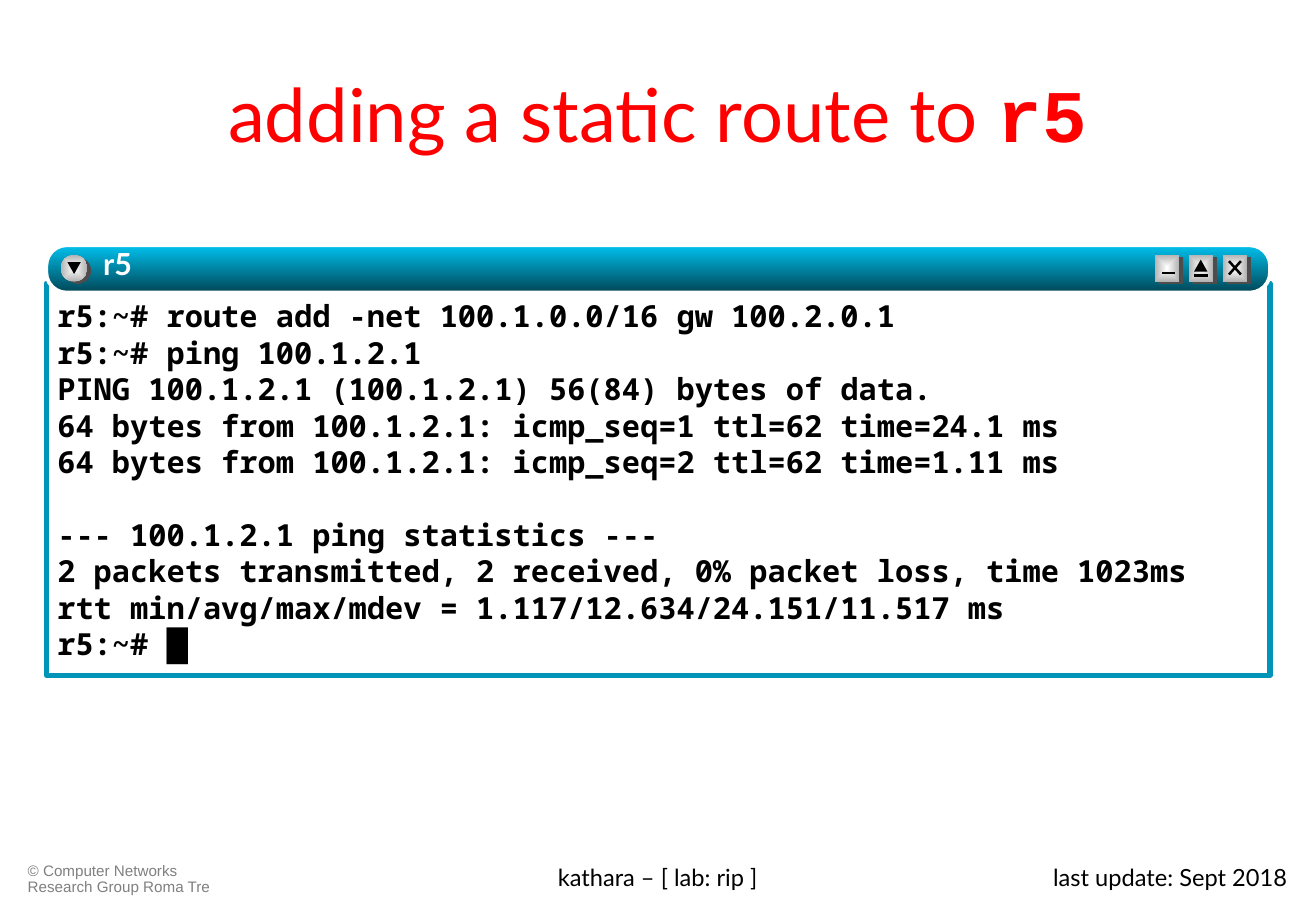
import dataclasses

import lxml.etree
import pptx
import pptx.dml.color
import pptx.enum.dml
import pptx.enum.shapes
import pptx.enum.text
import pptx.oxml
import pptx.oxml.ns
import pptx.util

Cm, Pt = pptx.util.Cm, pptx.util.Pt
RGB = pptx.dml.color.RGBColor.from_string
qn = pptx.oxml.ns.qn
MSO = pptx.enum.shapes.MSO_SHAPE
ALIGN = pptx.enum.text.PP_ALIGN
ANCHOR = pptx.enum.text.MSO_ANCHOR


@dataclasses.dataclass(frozen=True)
class Theme:
    """Colours, fonts and type sizes of the slide."""
    title: str = "FF0000"
    ink: str = "000000"
    light: str = "FFFFFF"
    muted: str = "808080"
    frame: str = "0095B8"
    bar: tuple = ("00C1EE", "004656")
    button: tuple = ("FFFFFF", "B2B2B2")
    shade: str = "4D4D4D"
    sans: str = "Lato"
    mono: str = "Noto Sans Mono"
    courier: str = "Courier New"
    arial: str = "Arial"
    title_size: int = 44
    code_size: int = 18
    footer_size: int = 14
    credit_size: int = 9


THEME = Theme()

SESSION = [
    "r5:~# route add -net 100.1.0.0/16 gw 100.2.0.1",
    "r5:~# ping 100.1.2.1",
    "PING 100.1.2.1 (100.1.2.1) 56(84) bytes of data.",
    "64 bytes from 100.1.2.1: icmp_seq=1 ttl=62 time=24.1 ms",
    "64 bytes from 100.1.2.1: icmp_seq=2 ttl=62 time=1.11 ms",
    "--- 100.1.2.1 ping statistics ---",
    "2 packets transmitted, 2 received, 0% packet loss, time 1023ms",
    "rtt min/avg/max/mdev = 1.117/12.634/24.151/11.517 ms",
    "r5:~# ",
]


def style(font, name, size, color, bold=False):
    """Set the face, size, colour and weight of a font."""
    font.name, font.size, font.bold = name, Pt(size), bold
    font.color.rgb = RGB(color)


def add_shape(slide, kind, x, y, w, h, fill=None):
    """Add a shape without shadow or line, with a solid fill or none."""
    sp = slide.shapes.add_shape(kind, Cm(x), Cm(y), Cm(w), Cm(h))
    sp.shadow.inherit = False
    sp.line.fill.background()
    if fill:
        sp.fill.solid()
        sp.fill.fore_color.rgb = RGB(fill)
    else:
        sp.fill.background()
    return sp


def add_gradient(sp, colors, from_centre=False):
    """Fill a shape with two colours, top to bottom or centre to edge."""
    sp.fill.gradient()
    sp.fill.gradient_angle = 270
    for stop, color in zip(sp.fill.gradient_stops, colors):
        stop.color.rgb = RGB(color)
    if from_centre:
        grad = sp._element.spPr.find(qn("a:gradFill"))
        grad.remove(grad.find(qn("a:lin")))
        path = lxml.etree.SubElement(grad, qn("a:path"), path="rect")
        lxml.etree.SubElement(path, qn("a:fillToRect"),
                              l="50000", t="50000", r="50000", b="50000")


def add_stroke(slide, x1, y1, x2, y2):
    """Add a thin dark line of a button sign."""
    line = slide.shapes.add_connector(
        pptx.enum.shapes.MSO_CONNECTOR.STRAIGHT, Cm(x1), Cm(y1), Cm(x2), Cm(y2))
    line.line.color.rgb = RGB(THEME.ink)
    line.line.width = Pt(1.5)
    lxml.etree.SubElement(line._element.spPr, qn("a:effectLst"))


def add_button(slide, kind, x, y, strokes=(), triangle=None, rotation=0):
    """Add a raised window button with its sign placed relative to it."""
    w, h = (0.56 if kind == MSO.OVAL else 0.51), 0.56
    add_shape(slide, kind, x + 0.08, y + 0.05, w, h, THEME.shade)
    add_gradient(add_shape(slide, kind, x, y, w, h), THEME.button, True)
    for x1, y1, x2, y2 in strokes:
        add_stroke(slide, x + x1, y + y1, x + x2, y + y2)
    if triangle:
        dx, dy = triangle
        sp = add_shape(slide, MSO.ISOSCELES_TRIANGLE, x + dx, y + dy,
                       0.28, 0.25, THEME.ink)
        sp.rotation = rotation


def add_text(slide, x, y, w, h, text):
    """Add a wrapping text box and return its frame and paragraph."""
    tf = slide.shapes.add_textbox(Cm(x), Cm(y), Cm(w), Cm(h)).text_frame
    tf.word_wrap = True
    p = tf.paragraphs[0]
    p.text = text
    return tf, p


def add_title(slide, x, y, w, h):
    """Place the slide title with the router name in bold type."""
    sp = slide.shapes.title
    sp.left, sp.top, sp.width, sp.height = Cm(x), Cm(y), Cm(w), Cm(h)
    tf = sp.text_frame
    tf.auto_size = pptx.enum.text.MSO_AUTO_SIZE.NONE
    tf.vertical_anchor = ANCHOR.MIDDLE
    p = tf.paragraphs[0]
    p.alignment = ALIGN.CENTER
    for text, face, bold in (("adding a static route to ", THEME.sans, False),
                             ("r5", THEME.courier, True)):
        r = p.add_run()
        r.text = text
        style(r.font, face, THEME.title_size, THEME.title, bold)


def add_session(slide, x, y, w, h):
    """Add the framed terminal body with its commands and output."""
    sp = add_shape(slide, MSO.RECTANGLE, x, y, w, h)
    sp.line.color.rgb = RGB(THEME.frame)
    sp.line.width = Pt(3)
    tf = sp.text_frame
    tf.word_wrap = True
    tf.vertical_anchor = ANCHOR.TOP
    tf.margin_left = tf.margin_right = Cm(0.23)
    tf.margin_top, tf.margin_bottom = Cm(0.3), Cm(0.1)
    for i, text in enumerate(SESSION):
        p = tf.add_paragraph() if i else tf.paragraphs[0]
        p.text = text
        p.alignment = ALIGN.LEFT
        style(p.font, THEME.mono, THEME.code_size, THEME.ink, True)
        if text.startswith("---"):
            p.space_before = Pt(21.6)
    r = p.add_run()
    r.text = "█"
    r.font.name = THEME.arial


def add_window(slide, x, y, w, h):
    """Add the terminal window: body, title bar, buttons and name."""
    bar_h = 0.99
    add_session(slide, x, y + 0.79, w, h - 0.79)
    bar = add_shape(slide, MSO.ROUNDED_RECTANGLE, x, y, w, bar_h)
    bar.adjustments[0] = 0.43
    add_gradient(bar, THEME.bar)
    bar.line.color.rgb = RGB(THEME.light)
    bar.line.width = Pt(2.25)
    add_button(slide, MSO.OVAL, x + 0.3, y + 0.2,
               triangle=(0.14, 0.15), rotation=180)
    signs = [
        ([(0.15, 0.38, 0.41, 0.38)], None),
        ([(0.1, 0.43, 0.41, 0.43)], (0.11, 0.1)),
        ([(0.13, 0.41, 0.38, 0.13), (0.13, 0.13, 0.38, 0.41)], None),
    ]
    for i, (strokes, triangle) in enumerate(signs):
        add_button(slide, MSO.RECTANGLE, x + w - 2.41 + 0.71 * i, y + 0.2,
                   strokes, triangle)
    tf, p = add_text(slide, x + 1.19, y, 18.39, bar_h, "r5")
    tf.margin_left = tf.margin_right = tf.margin_top = tf.margin_bottom = 0
    style(p.font, THEME.sans, THEME.code_size, THEME.light, True)
    r = p.runs[0]
    effects = lxml.etree.SubElement(r.font._element, qn("a:effectLst"))
    shadow = lxml.etree.SubElement(effects, qn("a:outerShdw"),
                                   dist="17961", dir="2700000")
    lxml.etree.SubElement(shadow, qn("a:srgbClr"), val=THEME.ink)


def add_footer(slide, x, y, w, h):
    """Add the credit, the lab name and the date along the bottom."""
    tf, p = add_text(slide, x, y, 4.78, h, "© Computer Networks Research Group Roma Tre")
    p.line_spacing = 0.9
    style(p.font, THEME.arial, THEME.credit_size, THEME.muted)
    for dx, width, text, align in (
            (6.71, 13.44, "kathara – [ lab: rip ]", ALIGN.CENTER),
            (w - 6.27, 6.27, "last update: Sept 2018", ALIGN.RIGHT)):
        tf, p = add_text(slide, x + dx, y, width, h, text)
        p.alignment = align
        style(p.font, THEME.sans, THEME.footer_size, THEME.ink)


def main():
    """Build and save the slide."""
    prs = pptx.Presentation()
    prs.slide_width, prs.slide_height = Cm(27.53), Cm(19.05)
    slide = prs.slides.add_slide(prs.slide_layouts[5])
    add_footer(slide, 0.33, 17.93, 26.85, 0.91)
    add_title(slide, 1.37, 0.76, 24.77, 3.18)
    add_window(slide, 0.97, 5.13, 25.6, 8.99)
    prs.save("out.pptx")


if __name__ == "__main__":
    main()
